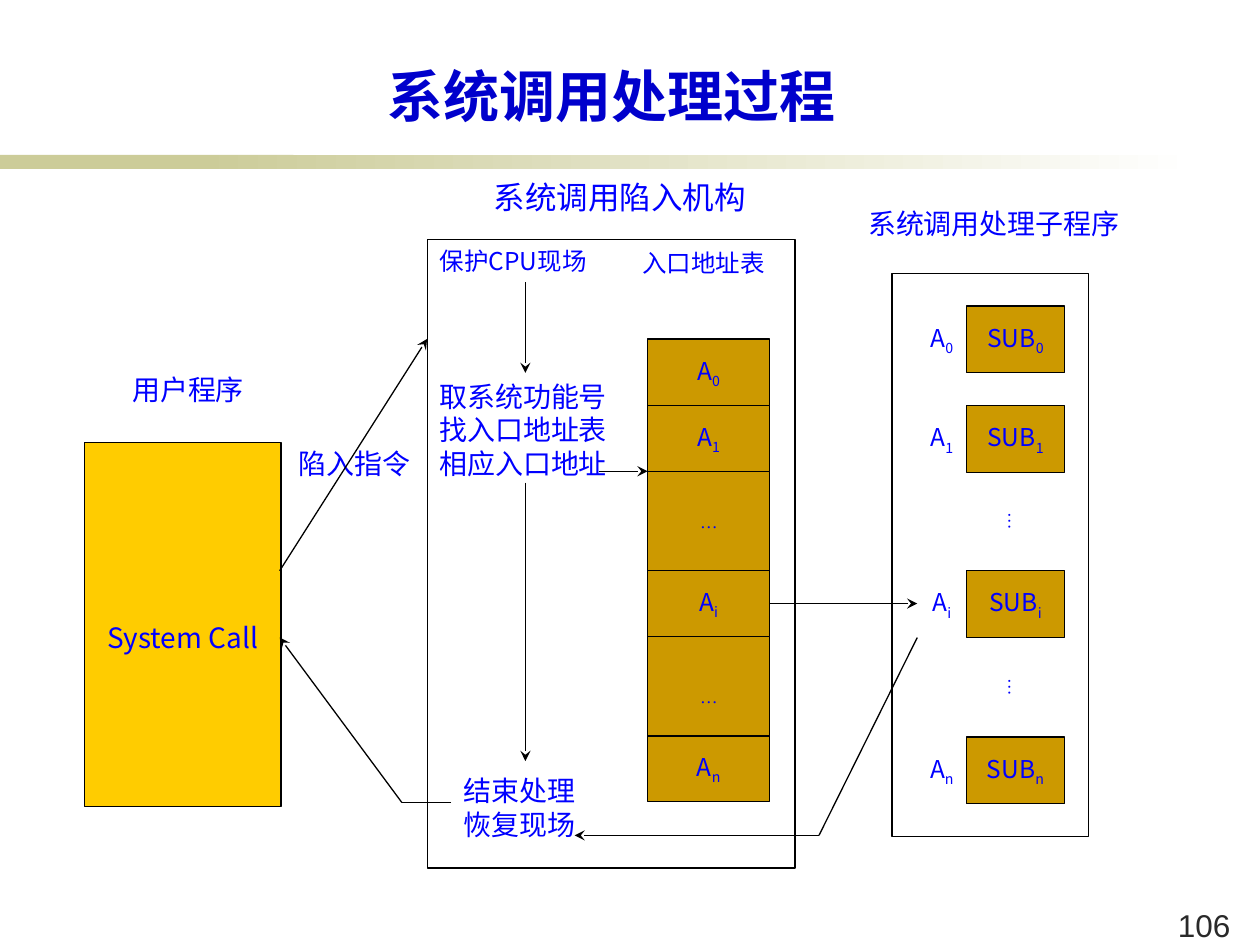
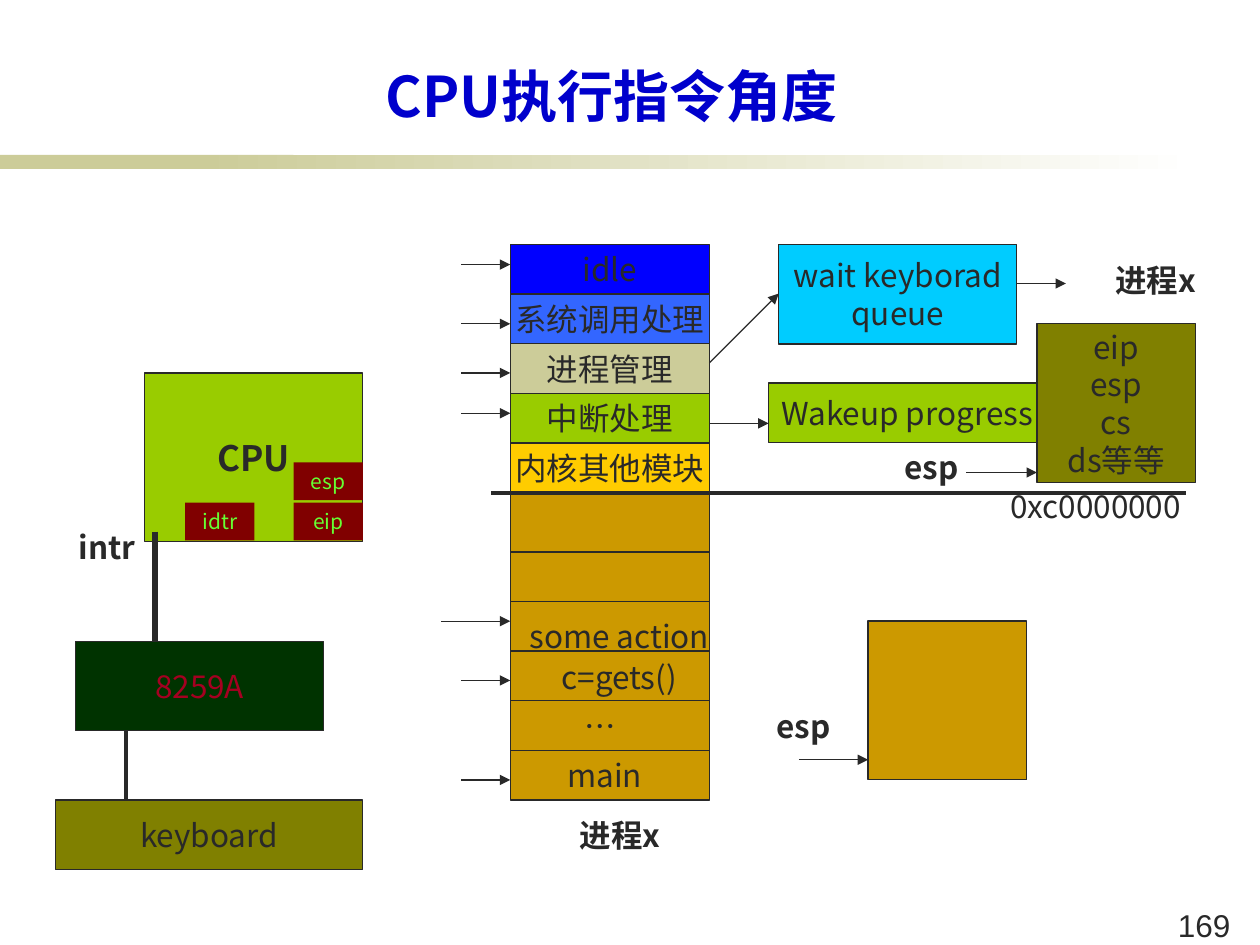
from dataclasses import dataclass, replace

from lxml import etree
from pptx import Presentation
from pptx.dml.color import RGBColor
from pptx.enum.shapes import MSO_CONNECTOR, MSO_SHAPE
from pptx.enum.text import MSO_ANCHOR, PP_ALIGN
from pptx.oxml.ns import qn
from pptx.util import Inches, Pt

RECT = MSO_SHAPE.RECTANGLE
STRAIGHT = MSO_CONNECTOR.STRAIGHT
TOP, MIDDLE, BOTTOM = MSO_ANCHOR.TOP, MSO_ANCHOR.MIDDLE, MSO_ANCHOR.BOTTOM
LEFT, CENTER = PP_ALIGN.LEFT, PP_ALIGN.CENTER

BLACK, INK, BLUE, TITLE_BLUE = "000000", "292929", "0000FF", "0000CC"
BAND, WHITE = "CCCC99", "FFFFFF"
OCHRE, YELLOW, GREEN, OLIVE = "CC9900", "FFCC00", "99CC00", "808000"
MAROON = "800000"
SANS_JP, SANS_SC = "Noto Sans CJK JP", "Noto Sans CJK SC"
SERIF = "Times New Roman"
PADDING = (0.1, 0.05, 0.1, 0.05)


@dataclass(frozen=True)
class Style:
    size: int
    color: str
    font: str
    bold: bool = False


CALL = Style(16, BLUE, SANS_JP)
CELL = replace(CALL, size=14)
DOTS = Style(10, BLUE, SERIF)
CODE = Style(18, INK, SANS_SC)
STRONG = replace(CODE, bold=True)
REGISTER = Style(12, "66FF33", SANS_SC)
PAGE = Style(18, INK, "Arial")


def rgb(value):
    return RGBColor.from_string(value)


def add_run(p, text, style):
    r = p.add_run()
    r.text = text
    r.font.size = Pt(style.size)
    r.font.bold = style.bold
    r.font.color.rgb = rgb(style.color)
    r.font.name = style.font
    rPr = r._r.get_or_add_rPr()
    east_asian = style.font if style.font.startswith("Noto") else SANS_SC
    etree.SubElement(rPr, qn("a:ea")).set("typeface", east_asian)
    return rPr


def write(tf, text, style, align, anchor, inset=PADDING):
    """Fill a frame, one paragraph a line; what follows "_" is a subscript."""
    tf.vertical_anchor = anchor
    tf.margin_left, tf.margin_top, tf.margin_right, tf.margin_bottom = (
        Inches(v) for v in inset)
    for i, line in enumerate(text.split("\n")):
        p = tf.add_paragraph() if i else tf.paragraphs[0]
        p.alignment = align
        p.space_before = Pt(0)
        base, _, subscript = line.partition("_")
        add_run(p, base, style)
        if subscript:
            add_run(p, subscript, style).set("baseline", "-25000")


def box(s, x, y, w, h, fill=None, line=None, text="", style=CODE, top_inset=0):
    sp = s.shapes.add_shape(RECT, Inches(x), Inches(y), Inches(w), Inches(h))
    sp.shadow.inherit = False
    if fill:
        sp.fill.solid()
        sp.fill.fore_color.rgb = rgb(fill)
    else:
        sp.fill.background()
    if line:
        sp.line.color.rgb = rgb(line)
        sp.line.width = Pt(0.75)
    else:
        sp.line.fill.background()
    if text:
        sp.text_frame.word_wrap = False
        write(sp.text_frame, text, style, CENTER, MIDDLE, (0, top_inset, 0, 0))
    return sp


def label(s, x, y, w, h, text, style, align=LEFT, anchor=TOP, inset=PADDING):
    sp = s.shapes.add_textbox(Inches(x), Inches(y), Inches(w), Inches(h))
    sp.text_frame.word_wrap = True
    write(sp.text_frame, text, style, align, anchor, inset)
    return sp


def connect(s, start, end, color, head=None, width=0.75):
    points = [Inches(v) for v in (*start, *end)]
    cx = s.shapes.add_connector(STRAIGHT, *points)
    cx.line.color.rgb = rgb(color)
    cx.line.width = Pt(width)
    if head:
        ln = cx.line._get_or_add_ln()
        etree.SubElement(ln, qn("a:tailEnd")).set("type", head)
    etree.SubElement(cx._element.spPr, qn("a:effectLst"))


def new_slide(prs, title, title_font, number):
    s = prs.slides.add_slide(prs.slide_layouts[5])
    box(s, 0, 1.23, 2.33, 0.11, BAND)
    fade = box(s, 1.58, 1.23, 7.92, 0.11, BAND).fill
    fade.gradient()
    fade.gradient_angle = 0
    for stop, color, position in zip(fade.gradient_stops, (BAND, WHITE), (0, 1)):
        stop.color.rgb = rgb(color)
        stop.position = position

    sp = s.shapes.title
    sp.left, sp.top, sp.width, sp.height = (
        Inches(v) for v in (0.83, 0.44, 8.05, 0.63))
    write(sp.text_frame, title, Style(32, TITLE_BLUE, title_font, True),
          CENTER, BOTTOM)
    label(s, 9.25, 7.14, 0.63, 0.33, number, PAGE)
    return s


def system_call_slide(prs):
    s = new_slide(prs, "系统调用处理过程", SERIF, "106")
    no_inset = (0, 0, 0, 0)

    def arrow(start, end):
        connect(s, start, end, BLACK, "stealth")

    box(s, 0.67, 3.51, 1.56, 2.89, YELLOW, BLACK, "System Call", CALL, 0.2)
    headings = [
        (1.05, 2.96, 0.97, "用户程序", 16),
        (2.37, 3.54, 0.97, "陷入指令", 16),
        (3.92, 1.41, 2.08, "系统调用陷入机构", 18),
        (6.89, 1.64, 2.11, "系统调用处理子程序", 16),
    ]
    for x, y, w, text, size in headings:
        label(s, x, y, w, 0.52, text, replace(CALL, size=size), inset=no_inset)

    # Trap mechanism
    box(s, 3.39, 1.9, 2.92, 4.99, line=BLACK)
    label(s, 3.39, 1.9, 1.56, 0.42, "保护CPU现场", CELL)
    label(s, 5, 1.92, 1.25, 0.49, "入口地址表", CELL)
    label(s, 3.39, 2.96, 1.56, 1.19,
          "取系统功能号\n找入口地址表\n相应入口地址", CALL)
    label(s, 3.58, 6.09, 1.17, 0.89, "结束处理\n恢复现场", CALL)

    # Entry address table
    y = 2.69
    entries = [("A_0", 0.53, 0), ("A_1", 0.52, 0), ("…", 0.79, 0),
               ("A_i", 0.52, 0), ("…", 0.79, 0.16), ("A_n", 0.52, 0)]
    for text, h, top_inset in entries:
        style = DOTS if text == "…" else CELL
        box(s, 5.14, y, 0.97, h, OCHRE, BLACK, text, style, top_inset)
        y += h

    # Subroutines
    box(s, 7.08, 2.17, 1.56, 4.47, line=BLACK)
    for index, y in (("0", 2.43), ("1", 3.22), ("i", 4.53), ("n", 5.85)):
        label(s, 7.28, y, 0.39, 0.53, "A_" + index, CELL, CENTER, MIDDLE,
              no_inset)
        box(s, 7.67, y, 0.78, 0.53, OCHRE, BLACK, "SUB_" + index, CELL)
    for y in (3.97, 5.29):
        sp = label(s, 7.67, y, 0.78, 0.33, "…", DOTS, CENTER, MIDDLE)
        sp._element.txBody.bodyPr.set("vert", "eaVert")

    # Control flow
    arrow((4.17, 2.24), (4.17, 2.96))
    arrow((4.17, 3.83), (4.17, 6.04))
    arrow((4.75, 3.74), (5.14, 3.74))
    arrow((2.22, 4.53), (3.39, 2.69))
    arrow((6.11, 4.79), (7.28, 4.79))
    for start, bend, end in (
            ((3.58, 6.37), (3.19, 6.37), (2.22, 5.06)),
            ((7.28, 5.06), (6.5, 6.63), (4.56, 6.63))):
        connect(s, start, bend, BLACK)
        arrow(bend, end)


def cpu_slide(prs):
    s = new_slide(prs, "CPU执行指令角度", SANS_SC, "169")
    pitch = 1.97 / 5
    stack_left, stack_width = 4.05, 1.58
    stack_right = stack_left + stack_width

    def arrow(start, end):
        connect(s, start, end, INK, "triangle")

    # Hardware chain
    box(s, 1.15, 2.96, 1.73, 1.34, GREEN, INK, "CPU", replace(STRONG, size=20))
    for x, y, name in ((2.33, 3.99, "eip"), (2.33, 3.67, "esp"),
                       (1.47, 3.99, "idtr")):
        box(s, x, y, 0.55, 0.3, MAROON, text=name, style=REGISTER)
    connect(s, (1.23, 4.22), (1.23, 5.09), INK, width=3)
    box(s, 0.6, 5.09, 1.97, 0.71, "003300", INK, "8259A",
        replace(CODE, color="A50021"))
    connect(s, (1, 5.8), (1, 6.35), INK, width=2.25)
    box(s, 0.44, 6.35, 2.44, 0.55, OLIVE, INK, "keyboard")

    # Kernel modules above user code
    modules = [("idle", BLUE), ("系统调用处理", "3366FF"), ("进程管理", BAND),
               ("中断处理", GREEN), ("内核其他模块", YELLOW)]
    for i, (name, fill) in enumerate(modules):
        box(s, stack_left, 1.94 + i * pitch, stack_width, pitch, fill, INK, name)
    box(s, stack_left, 3.91, stack_width, 2.44, OCHRE, INK)
    for i in range(5):
        y = 4.38 + i * pitch
        connect(s, (stack_left, y), (stack_right, y), INK)
    for x, y, w, text in ((3.97, 4.85, 1.89, "some action"),
                          (3.97, 5.17, 1.89, "c=gets()"),
                          (4.05, 5.56, 1.42, "…"),
                          (4.05, 5.95, 1.5, "main")):
        label(s, x, y, w, 0.4, text, CODE, CENTER)
    for y in (2.1, 2.57, 2.96, 3.28, 5.4, 6.19):
        arrow((3.66, y), (stack_left, y))
    arrow((3.5, 4.93), (stack_left, 4.93))

    # Wait queue, wakeup and saved context
    box(s, 6.18, 1.94, 1.89, 0.79, "00CCFF", INK, "wait keyborad\nqueue")
    box(s, 6.1, 3.04, 2.2, 0.47, GREEN, INK, "Wakeup progress")
    box(s, 8.23, 2.57, 1.26, 1.26, OLIVE, INK, "eip\nesp\ncs\nds等等")
    box(s, 6.89, 4.93, 1.26, 1.26, OCHRE, INK)
    arrow((stack_right, 2.88), (6.18, 2.33))
    arrow((stack_right, 3.36), (6.1, 3.36))
    arrow((8.07, 2.25), (8.46, 2.25))
    arrow((7.67, 3.75), (8.23, 3.75))
    arrow((6.34, 6.03), (6.89, 6.03))

    # Boundary between kernel and user space
    connect(s, (3.9, 3.91), (9.41, 3.91), INK, width=2.25)
    label(s, 7.63, 3.82, 2.13, 0.4, "0xc0000000", CODE, CENTER)
    for x, y, w, text in ((0.4, 4.14, 0.9, "intr"),
                          (4.13, 6.43, 1.58, "进程x"),
                          (8.38, 2.02, 1.58, "进程x"),
                          (6.02, 5.56, 0.71, "esp"),
                          (7.04, 3.51, 0.71, "esp")):
        label(s, x, y, w, 0.4, text, STRONG, CENTER)


def main():
    prs = Presentation()
    prs.slide_width, prs.slide_height = Inches(10), Inches(7.5)
    system_call_slide(prs)
    cpu_slide(prs)
    prs.save("out.pptx")


if __name__ == "__main__":
    main()
